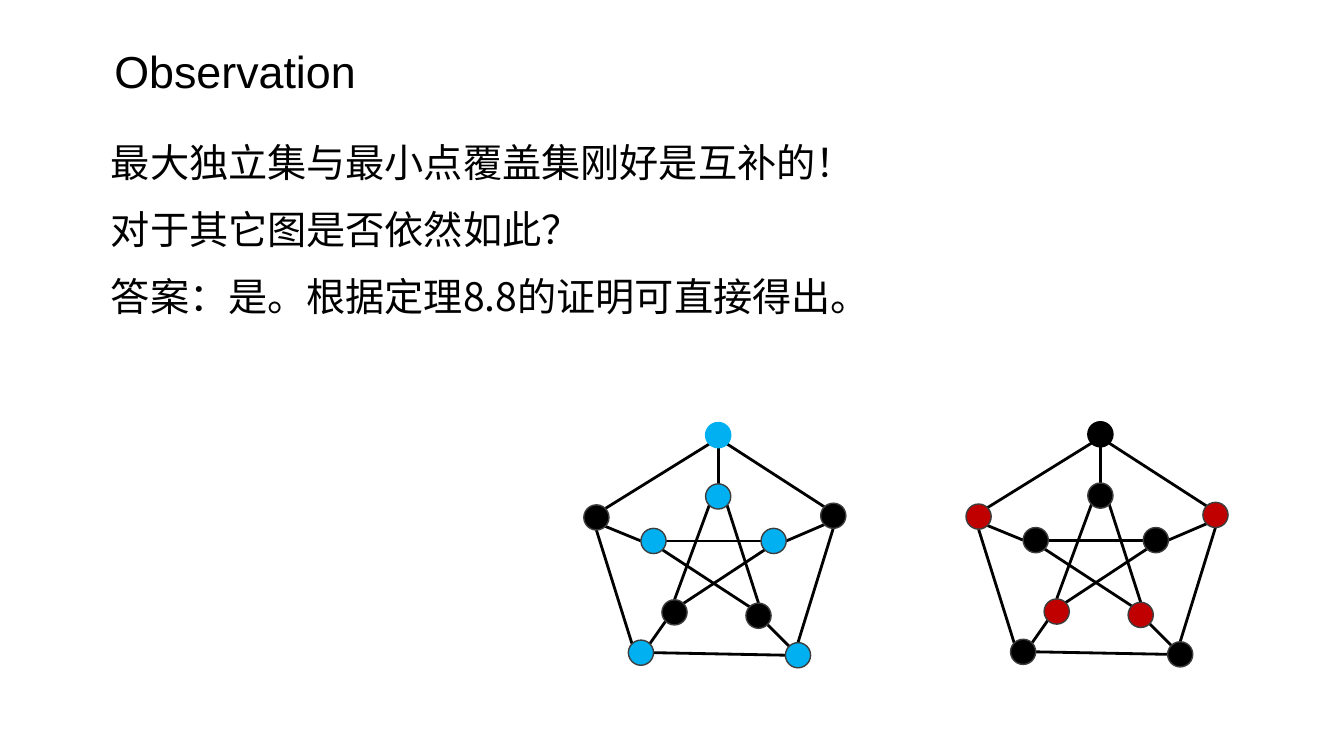
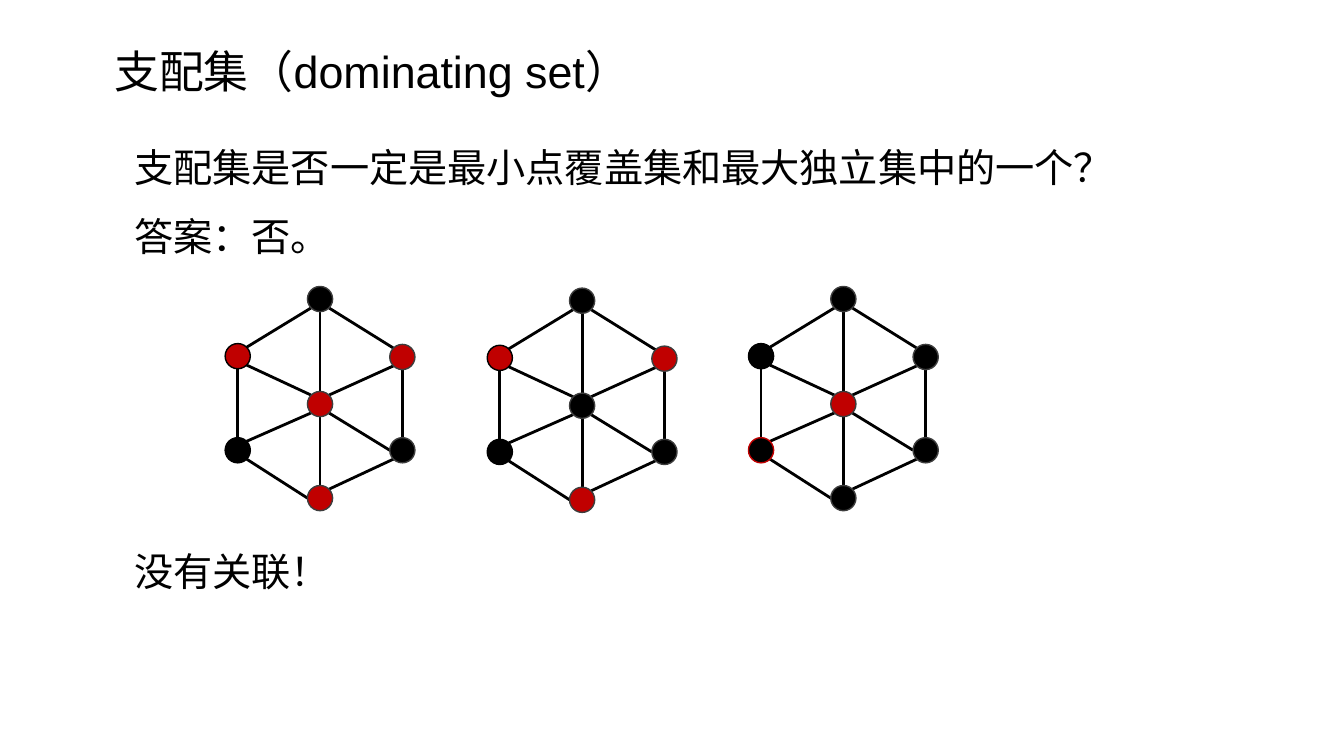
from pptx import Presentation
from pptx.dml.color import RGBColor
from pptx.enum.shapes import MSO_CONNECTOR, MSO_SHAPE
from pptx.enum.text import MSO_ANCHOR, MSO_AUTO_SIZE, PP_ALIGN
from pptx.oxml.ns import qn
from pptx.util import Inches, Pt
from lxml import etree

BLACK = RGBColor(0x00, 0x00, 0x00)
GRAY = RGBColor(0x3D, 0x3D, 0x3D)
BLUE = RGBColor(0x00, 0xB0, 0xF0)
RED = RGBColor(0xC0, 0x00, 0x00)

STRAIGHT = MSO_CONNECTOR.STRAIGHT
OVAL = MSO_SHAPE.OVAL
LEFT = PP_ALIGN.LEFT
TOP = MSO_ANCHOR.TOP
MIDDLE = MSO_ANCHOR.MIDDLE
NO_AUTOFIT = MSO_AUTO_SIZE.NONE

LATIN = "Arial"
CJK = "Noto Sans CJK SC"
CELL = Inches(1) / 12
RADIUS = 1.5
DIAGONAL = RADIUS * 0.5 ** 0.5

SITES = {
    "n": (0, -RADIUS), "s": (0, RADIUS), "w": (-RADIUS, 0), "e": (RADIUS, 0),
    "nw": (-DIAGONAL, -DIAGONAL), "ne": (DIAGONAL, -DIAGONAL),
    "sw": (-DIAGONAL, DIAGONAL), "se": (DIAGONAL, DIAGONAL),
}

PETERSEN_NODES = {
    "top": (0, 0), "left": (-14.5, 9.8), "right": (13.7, 9.6),
    "low_left": (-9.2, 25.9), "low_right": (9.5, 26.2),
    "star_top": (0, 7.3), "star_left": (-7.7, 12.6), "star_right": (6.6, 12.6),
    "star_low_left": (-5.2, 21.1), "star_low_right": (4.8, 21.5),
}
PETERSEN_EDGES = [
    ("top", "se", "right", "nw"),
    ("right", "s", "low_right", "n"),
    ("low_right", "w", "low_left", "e"),
    ("low_left", "nw", "left", "s"),
    ("left", "ne", "top", "sw"),
    ("left", "se", "star_left", "w"),
    ("top", "s", "star_top", "n"),
    ("low_left", "ne", "star_low_left", "sw"),
    ("low_right", "nw", "star_low_right", "se"),
    ("star_right", "e", "right", "sw"),
    ("star_low_left", "n", "star_top", "sw"),
    ("star_top", "se", "star_low_right", "n"),
    ("star_left", "e", "star_right", "w"),
    ("star_right", "sw", "star_low_left", "ne"),
    ("star_low_right", "nw", "star_left", "se"),
]

WHEEL_NODES = {
    "hub": (0, 0), "top": (0, -12.5), "bottom": (0, 11.2),
    "upper_left": (-9.8, -5.7), "upper_right": (9.8, -5.6),
    "lower_left": (-9.8, 5.5), "lower_right": (9.8, 5.5),
}
WHEEL_EDGES = [
    ("hub", "nw", "upper_left", "se"),
    ("hub", "sw", "lower_left", "ne"),
    ("hub", "ne", "upper_right", "sw"),
    ("hub", "se", "lower_right", "w"),
    ("hub", "n", "top", "s"),
    ("hub", "s", "bottom", "n"),
    ("top", "se", "upper_right", "nw"),
    ("upper_right", "s", "lower_right", "n"),
    ("lower_right", "sw", "bottom", "ne"),
    ("bottom", "w", "lower_left", "se"),
    ("lower_left", "n", "upper_left", "s"),
    ("upper_left", "ne", "top", "sw"),
]


def cells(*counts):
    return [round(count * CELL) for count in counts]


def write(frame, *lines, font=CJK, size=28, color=BLACK, anchor=TOP, gap=0):
    frame.word_wrap = True
    frame.auto_size = NO_AUTOFIT
    frame.vertical_anchor = anchor
    for index, line in enumerate(lines):
        paragraph = frame.add_paragraph() if index else frame.paragraphs[0]
        properties = paragraph._p.get_or_add_pPr()
        properties.set("marL", "0")
        properties.set("indent", "0")
        etree.SubElement(properties, qn("a:buNone"))
        paragraph.alignment = LEFT
        paragraph.line_spacing = 1.0
        paragraph.space_before = Pt(gap if index else 0)
        paragraph.space_after = Pt(0)
        run = paragraph.add_run()
        run.text = line
        run.font.name = font
        run.font.size = Pt(size)
        run.font.color.rgb = color
        east_asian = etree.SubElement(run._r.get_or_add_rPr(), qn("a:ea"))
        east_asian.set("typeface", CJK)


class Deck:
    def __init__(self):
        self.presentation = Presentation()
        self.presentation.slide_width, self.presentation.slide_height = cells(160, 90)
        self.slide = None

    def place(self, holder, left, top, width, height):
        holder.left, holder.top, holder.width, holder.height = cells(left, top, width, height)

    def start(self, title):
        layout = self.presentation.slide_layouts[1]
        self.slide = self.presentation.slides.add_slide(layout)
        heading = self.slide.shapes.title
        self.place(heading, 12.4, 3.9, 135, 9)
        write(heading.text_frame, title, font=LATIN, size=32, anchor=MIDDLE)

    def body(self, lines, left, top, gap):
        statements = self.slide.placeholders[1]
        self.place(statements, left, top, 135, 9 * len(lines))
        write(statements.text_frame, *lines, gap=gap)

    def remark(self, text, left, top):
        box = self.slide.shapes.add_textbox(*cells(left, top, 106, 8))
        write(box.text_frame, text, anchor=MIDDLE)

    def edge(self, begin, end):
        line = self.slide.shapes.add_connector(STRAIGHT, *cells(*begin, *end))
        line.line.color.rgb = BLACK
        line.line.width = Pt(2)
        etree.SubElement(line._element.spPr, qn("a:effectLst"))

    def node(self, x, y, fill, outline):
        dot = self.slide.shapes.add_shape(
            OVAL, *cells(x - RADIUS, y - RADIUS, 2 * RADIUS, 2 * RADIUS))
        dot.shadow.inherit = False
        dot.fill.solid()
        dot.fill.fore_color.rgb = fill
        dot.line.color.rgb = outline
        dot.line.width = Pt(1)

    def graph(self, origin, nodes, edges, chosen, color, outlines):
        centers = {name: (origin[0] + x, origin[1] + y) for name, (x, y) in nodes.items()}

        def joint(name, side):
            return [center + shift for center, shift in zip(centers[name], SITES[side])]

        for first, first_side, second, second_side in edges:
            self.edge(joint(first, first_side), joint(second, second_side))
        for name, center in centers.items():
            fill = color if name in chosen else BLACK
            self.node(*center, fill, outlines.get(name, GRAY))


def observation(deck):
    deck.start("Observation")
    deck.body(["最大独立集与最小点覆盖集刚好是互补的！",
               "对于其它图是否依然如此？",
               "答案：是。根据定理8.8的证明可直接得出。"], 12, 15.9, 14)
    cover = {"top", "star_top", "star_left", "star_right", "low_left", "low_right"}
    independent = {"left", "right", "star_low_left", "star_low_right"}
    for origin, chosen, color, top_outline in [
        ((85.5, 51.8), cover, BLUE, BLUE),
        ((131, 51.7), independent, RED, BLACK),
    ]:
        deck.graph(origin, PETERSEN_NODES, PETERSEN_EDGES, chosen, color, {"top": top_outline})


def dominating_set(deck):
    deck.start("支配集（dominating set）")
    deck.body(["支配集是否一定是最小点覆盖集和最大独立集中的一个？",
               "答案：否。"], 14.8, 16.5, 15.5)
    independent = {"upper_left", "upper_right", "bottom"}
    for origin, chosen, lower_left_outline in [
        ((38.1, 48.1), independent | {"hub"}, BLACK),
        ((69.3, 48.3), independent, BLACK),
        ((100.4, 48.1), {"hub"}, RED),
    ]:
        outlines = {"upper_left": BLACK, "lower_left": lower_left_outline}
        deck.graph(origin, WHEEL_NODES, WHEEL_EDGES, chosen, RED, outlines)
    deck.remark("没有关联！", 14.8, 64)


def main():
    deck = Deck()
    observation(deck)
    dominating_set(deck)
    deck.presentation.save("out.pptx")


if __name__ == "__main__":
    main()
